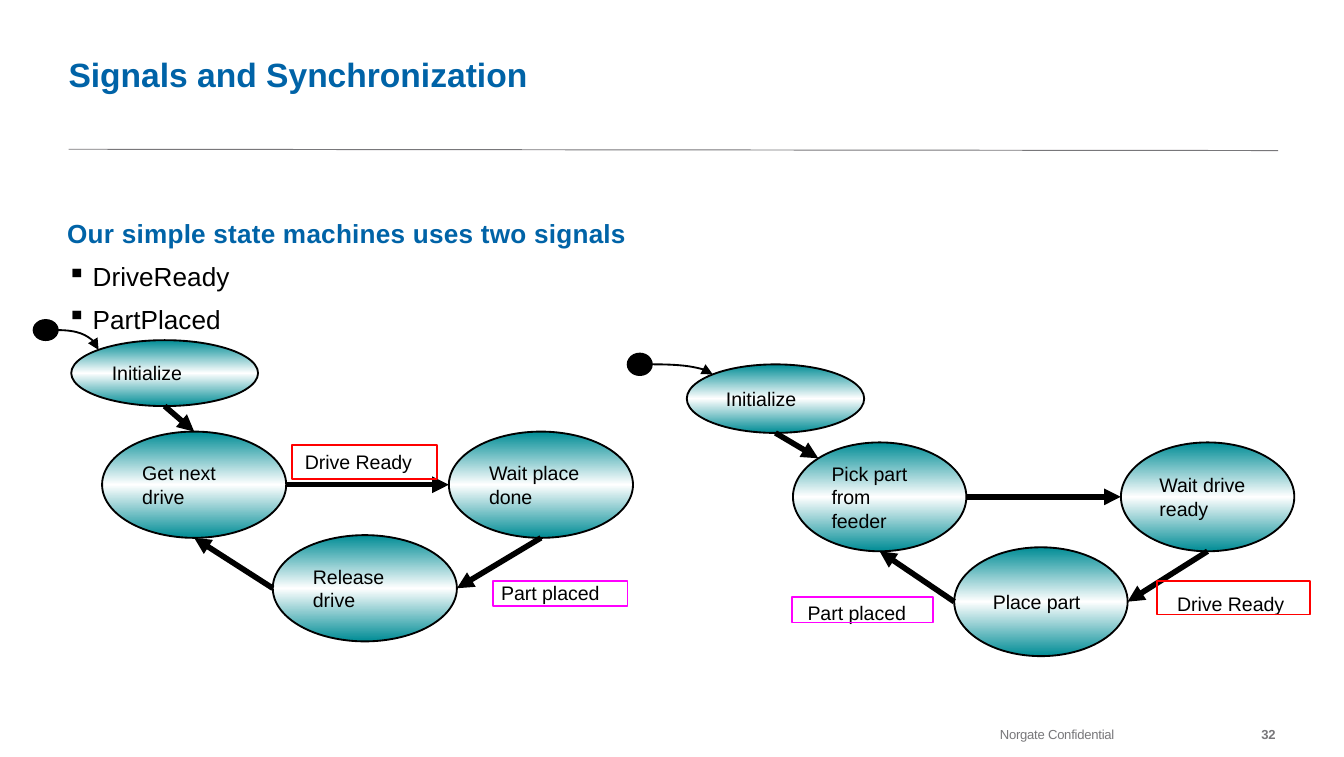
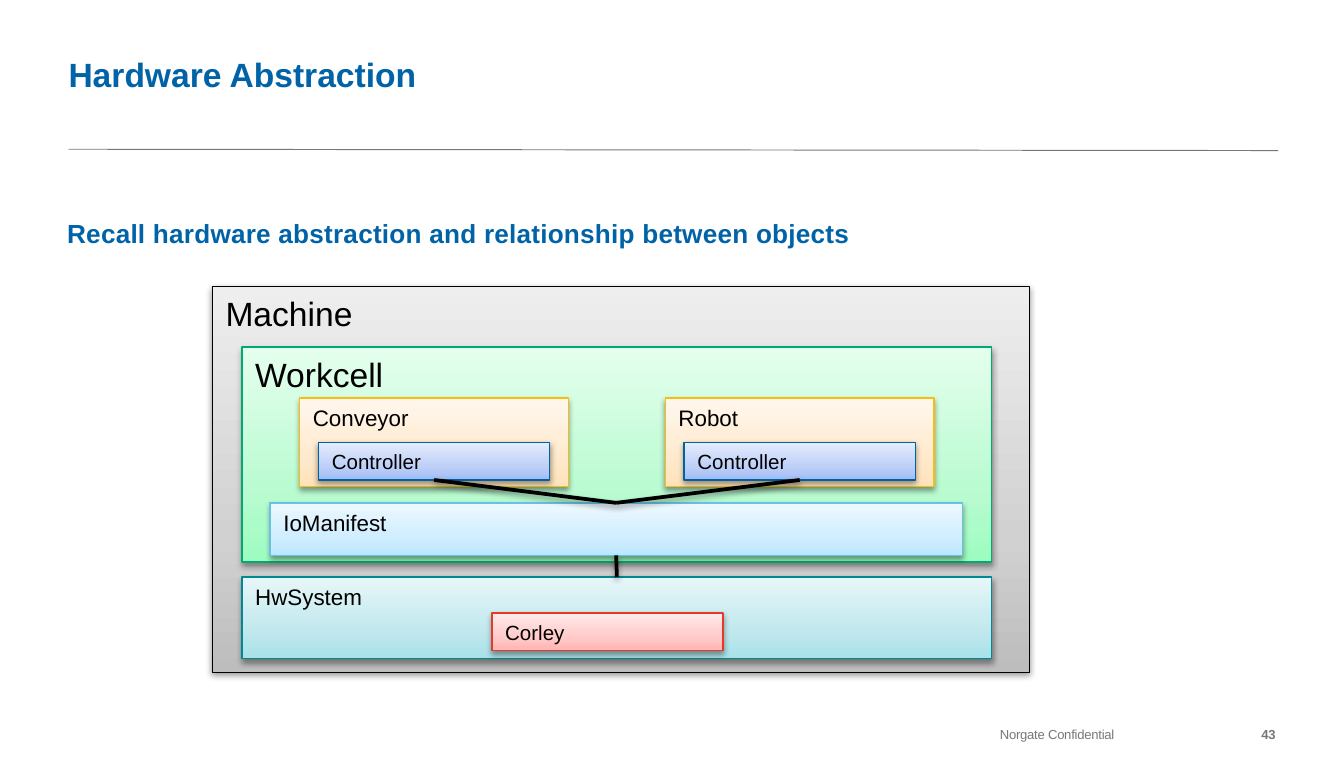
import copy
import math

import pptx
import pptx.dml.color
import pptx.enum.shapes
import pptx.enum.text
import pptx.oxml
import pptx.oxml.ns
import pptx.util

Inches, Pt = pptx.util.Inches, pptx.util.Pt
RGB = pptx.dml.color.RGBColor
SHAPE = pptx.enum.shapes.MSO_SHAPE
CONNECTOR = pptx.enum.shapes.MSO_CONNECTOR
TEXT = pptx.enum.text
qn = pptx.oxml.ns.qn

FONT = "Arial"
BLUE = RGB(0x00, 0x63, 0xA7)
GRAY = RGB(0x78, 0x77, 0x7A)
BLACK = RGB(0, 0, 0)
WHITE = RGB(0xFF, 0xFF, 0xFF)
TEAL = RGB(0x00, 0x8C, 0x95)
RED = RGB(0xFF, 0, 0)
MAGENTA = RGB(0xFF, 0, 0xFF)

STATE_STOPS = [(0, TEAL), (0.5, WHITE), (1, TEAL)]
PALETTES = {
    "gray": (BLACK, RGB(0xBD, 0xBD, 0xBD), RGB(0xD1, 0xD1, 0xD1), RGB(0xEE, 0xEE, 0xEE)),
    "teal": (RGB(0x00, 0x89, 0x92), RGB(0xA7, 0xE1, 0xE9), RGB(0xC2, 0xE8, 0xEE), RGB(0xE7, 0xF7, 0xF9)),
    "green": (RGB(0x00, 0xAC, 0x6D), RGB(0x9D, 0xFC, 0xC0), RGB(0xBB, 0xFB, 0xD2), RGB(0xE4, 0xFF, 0xED)),
    "sky": (RGB(0x69, 0xC1, 0xE5), RGB(0xBC, 0xE7, 0xFF), RGB(0xD0, 0xEE, 0xFF), RGB(0xED, 0xF8, 0xFF)),
    "orange": (RGB(0xF8, 0xBD, 0x0F), RGB(0xFF, 0xE2, 0xB9), RGB(0xFF, 0xEA, 0xCE), RGB(0xFF, 0xF7, 0xED)),
    "blue": (RGB(0x00, 0x61, 0xA3), RGB(0xA0, 0xBC, 0xF5), RGB(0xBE, 0xCF, 0xF7), RGB(0xE5, 0xEC, 0xFD)),
    "red": (RGB(0xE5, 0x39, 0x2A), RGB(0xFF, 0xB4, 0xB2), RGB(0xFF, 0xCA, 0xC9), RGB(0xFF, 0xEB, 0xEA)),
}

FOOTER = "Norgate Confidential"
SIGNALS_SLIDE = ("Signals and Synchronization", "Our simple state machines uses two signals",
                 ["DriveReady", "PartPlaced"], 32)
HARDWARE_SLIDE = ("Hardware Abstraction", "Recall hardware abstraction and relationship between objects",
                  [], 43)

MACHINES = [
    {
        "dot": (0.25, 2.38, 0.18, 0.15),
        "initialize": (0.53, 2.53, 1.39, 0.49),
        "state_size": (1.37, 0.79),
        "states": [("Get next drive", 0.76, 3.21), ("Wait place done", 3.34, 3.21), ("Release drive", 2.03, 3.98)],
        "entry": "top",
        "signals": [("Drive Ready", RED, (2.17, 3.3, 1.02, 0.28), (2.17, 3.31, 1.08, 0.25)),
                    ("Part placed", MAGENTA, (3.63, 4.27, 0.95, 0.28), (3.67, 4.32, 1, 0.19))],
    },
    {
        "dot": (4.67, 2.63, 0.18, 0.16),
        "initialize": (5.11, 2.71, 1.32, 0.51),
        "state_size": (1.29, 0.81),
        "states": [("Pick part from feeder", 5.9, 3.29), ("Wait drive ready", 8.34, 3.29), ("Place part", 7.1, 4.07)],
        "entry": "top left",
        "signals": [("Drive Ready", RED, (8.66, 4.35, 1.05, 0.29), (8.61, 4.32, 1.14, 0.25)),
                    ("Part placed", MAGENTA, (5.91, 4.42, 0.98, 0.29), (5.89, 4.44, 1.05, 0.19))],
    },
]

MANIFEST = (2.01, 3.74, 5.15, 0.39)
HW_SYSTEM = (1.8, 4.29, 5.58, 0.61)
LAYERS = [
    ("Machine", (1.58, 2.13, 6.08, 2.87), "gray", 18),
    ("HwSystem", HW_SYSTEM, "teal", 12),
    ("Workcell", (1.8, 2.58, 5.58, 1.6), "green", 18),
    ("IoManifest", MANIFEST, "sky", 12),
    ("Corley", (3.66, 4.56, 1.72, 0.28), "red", 11),
]
DEVICES = [("Conveyor", 2.23), ("Robot", 4.95)]
DEVICE_TOP, DEVICE_SIZE = 2.96, (2, 0.66)
CONTROLLER_OFFSET, CONTROLLER_SIZE = (0.14, 0.33), (1.72, 0.28)

DIAGONAL = math.sqrt(0.5)
SITES = {"top": (0, -1), "bottom": (0, 1), "left": (-1, 0), "right": (1, 0), "top left": (-DIAGONAL, -DIAGONAL)}


def site(box, side):
    left, top, width, height = box
    across, down = SITES[side]
    return left + width / 2 * (1 + across), top + height / 2 * (1 + down)


def lengths(values):
    return [Inches(value) for value in values]


def style(paragraph, size, color=BLACK, bold=False, spacing=0):
    for run in paragraph.runs:
        run.font.name = FONT
        run.font.size = Pt(size)
        run.font.bold = bold
        run.font.color.rgb = color
        if spacing:
            run.font._element.set("spc", str(round(spacing * 100)))


def add_text(canvas, box, lines, wrap=True):
    area = canvas.add_textbox(*lengths(box))
    frame = area.text_frame
    frame.word_wrap = wrap
    if wrap:
        frame.margin_left = frame.margin_right = frame.margin_top = frame.margin_bottom = 0
    else:
        frame.auto_size = TEXT.MSO_AUTO_SIZE.SHAPE_TO_FIT_TEXT
    frame.text = "\n".join(lines)
    return frame


def cast_shadow(part):
    effects = part._element.spPr.find(qn("a:effectLst"))
    shadow = pptx.oxml.parse_xml(
        f'<a:outerShdw {pptx.oxml.ns.nsdecls("a")} blurRad="40000" dist="20000" dir="5400000" rotWithShape="0">'
        '<a:srgbClr val="000000"><a:alpha val="38000"/></a:srgbClr></a:outerShdw>')
    effects.append(shadow)


def add_shape(canvas, kind, box, line_color, line_width, label="", size=10.5, anchor=TEXT.MSO_ANCHOR.MIDDLE):
    shape = canvas.add_shape(kind, *lengths(box))
    shape.shadow.inherit = False
    shape.fill.background()
    shape.line.color.rgb = line_color
    shape.line.width = Pt(line_width)
    if label:
        frame = shape.text_frame
        frame.word_wrap = True
        frame.vertical_anchor = anchor
        frame.text = label
        frame.paragraphs[0].alignment = TEXT.PP_ALIGN.LEFT
        style(frame.paragraphs[0], size)
    return shape


def fill_gradient(shape, stops, angle):
    shape.fill.gradient()
    shape.fill.gradient_angle = angle
    stop_list = shape._element.spPr.find(".//" + qn("a:gsLst"))
    stop_list.append(copy.deepcopy(stop_list[-1]))
    for stop, (position, color) in zip(shape.fill.gradient_stops, stops):
        stop.position = position
        stop.color.rgb = color


def connect(canvas, start, end, width, arrow=False, curved=False):
    kind = CONNECTOR.CURVE if curved else CONNECTOR.STRAIGHT
    link = canvas.add_connector(kind, *lengths(start + end))
    link.line.color.rgb = BLACK
    link.line.width = Pt(width)
    properties = link._element.spPr
    if curved:
        properties.find(qn("a:prstGeom")).set("prst", "curvedConnector2")
    if arrow:
        tail = pptx.oxml.parse_xml(f'<a:tailEnd {pptx.oxml.ns.nsdecls("a")} type="triangle"/>')
        properties.find(qn("a:ln")).append(tail)
    properties.append(pptx.oxml.parse_xml(f'<a:effectLst {pptx.oxml.ns.nsdecls("a")}/>'))
    return link


def add_bullet(paragraph):
    paragraph.level = 1
    properties = paragraph._p.get_or_add_pPr()
    properties.set("marL", str(Inches(0.19)))
    properties.set("indent", str(Inches(-0.19)))
    properties.append(pptx.oxml.parse_xml(f'<a:buChar {pptx.oxml.ns.nsdecls("a")} char="▪"/>'))


def add_slide(deck, title, heading, bullets, number):
    slide = deck.slides.add_slide(deck.slide_layouts[6])
    canvas = slide.shapes
    rule = connect(canvas, (0.51, 1.11), (9.51, 1.12), 0.5)
    rule.line.color.rgb = GRAY

    footer = add_text(canvas, (7.44, 5.4, 1.06, 0.12), [FOOTER]).paragraphs[0]
    style(footer, 7, GRAY, spacing=-0.1)
    page = add_text(canvas, (8.44, 5.4, 1.05, 0.12), [str(number)]).paragraphs[0]
    page.alignment = TEXT.PP_ALIGN.RIGHT
    style(page, 7, GRAY, bold=True, spacing=-0.1)

    body = add_text(canvas, (0.5, 1.62, 8, 3.53), [heading] + bullets)
    lead, *points = body.paragraphs
    lead.space_before = Pt(12)
    style(lead, 14, BLUE, bold=True, spacing=0.1)
    for point in points:
        point.space_before = Pt(6)
        add_bullet(point)
        style(point, 14)

    title_frame = add_text(canvas, (0.51, 0, 7.99, 0.7), [title])
    title_frame.vertical_anchor = TEXT.MSO_ANCHOR.BOTTOM
    style(title_frame.paragraphs[0], 18, BLUE, bold=True)
    return slide


def draw_machine(slide, machine):
    canvas = slide.shapes.add_group_shape().shapes
    dot, initialize = machine["dot"], machine["initialize"]
    states = [(label, (left, top) + machine["state_size"]) for label, left, top in machine["states"]]
    for label, box in states + [("Initialize", initialize)]:
        fill_gradient(add_shape(canvas, SHAPE.OVAL, box, BLACK, 1, label), STATE_STOPS, 270)
    start = add_shape(canvas, SHAPE.OVAL, dot, BLACK, 1)
    start.fill.solid()
    start.fill.fore_color.rgb = BLACK

    first, waiting, last = [box for _, box in states]
    for source, leave, target, enter in [
        (first, "right", waiting, "left"),
        (waiting, "bottom", last, "right"),
        (last, "left", first, "bottom"),
        (initialize, "bottom", first, machine["entry"]),
    ]:
        connect(canvas, site(source, leave), site(target, enter), 3, arrow=True)
    connect(canvas, site(dot, "right"), site(initialize, "top left"), 1, arrow=True, curved=True)

    for signal, color, text_box, frame_box in machine["signals"]:
        style(add_text(canvas, text_box, [signal], wrap=False).paragraphs[0], 10.5)
        add_shape(canvas, SHAPE.RECTANGLE, frame_box, color, 1)


def draw_hardware(slide):
    canvas = slide.shapes.add_group_shape().shapes
    layers = list(LAYERS)
    links = [(site(HW_SYSTEM, "top"), site(MANIFEST, "bottom"))]
    for device, left in DEVICES:
        controller = (left + CONTROLLER_OFFSET[0], DEVICE_TOP + CONTROLLER_OFFSET[1]) + CONTROLLER_SIZE
        layers.append((device, (left, DEVICE_TOP) + DEVICE_SIZE, "orange", 12))
        layers.append(("Controller", controller, "blue", 11))
        links.append((site(controller, "bottom"), site(MANIFEST, "top")))

    for label, box, palette, size in layers:
        edge, *colors = PALETTES[palette]
        block = add_shape(canvas, SHAPE.RECTANGLE, box, edge, 0.75, label, size, TEXT.MSO_ANCHOR.TOP)
        fill_gradient(block, zip((0, 0.35, 1), colors), 90)
        cast_shadow(block)
    for start, end in links:
        cast_shadow(connect(canvas, start, end, 2))


def main():
    deck = pptx.Presentation()
    deck.slide_width, deck.slide_height = Inches(10), Inches(5.63)
    signals = add_slide(deck, *SIGNALS_SLIDE)
    for machine in MACHINES:
        draw_machine(signals, machine)
    draw_hardware(add_slide(deck, *HARDWARE_SLIDE))
    deck.save("out.pptx")


if __name__ == "__main__":
    main()
